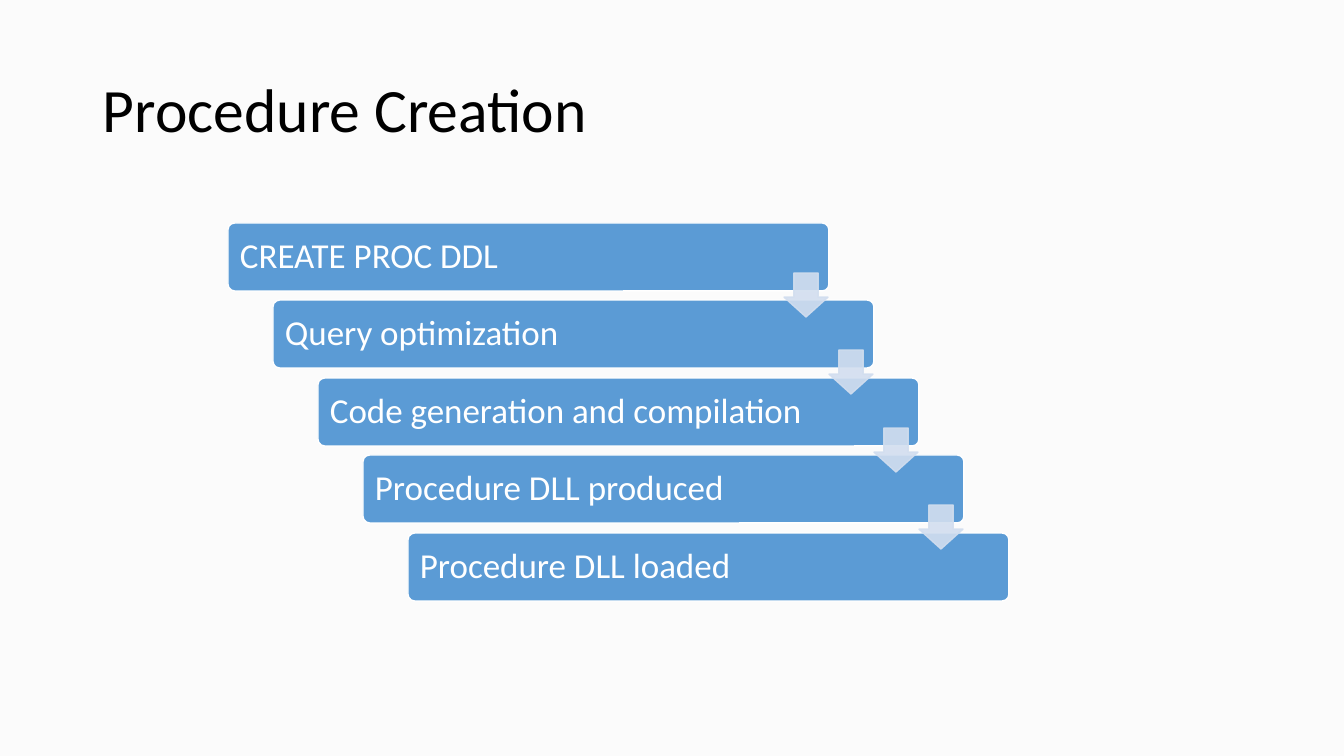
from dataclasses import dataclass

from lxml import etree
from pptx import Presentation
from pptx import util as u
from pptx.dml.color import RGBColor
from pptx.enum import shapes, text
from pptx.oxml import ns

SCALE = 914400 / 100.8


def px(n):
    return u.Emu(round(n * SCALE))


@dataclass
class Theme:
    back: str = "FBFBFB"
    ink: str = "000000"
    step: str = "5B9BD5"
    edge: str = "FFFFFF"
    arrow: str = "D2DEEF"
    font: str = "Calibri"
    head: int = 44
    body: int = 25
    alpha: int = 90


class Deck:
    """Holds the theme and the current slide, and draws its elements."""

    def __init__(self, theme):
        self.theme = theme
        self.show = Presentation()
        self.show.slide_width, self.show.slide_height = px(1344), px(756)
        self.slide = self.show.slides.add_slide(self.show.slide_layouts[6])
        self.paint(self.slide.background.fill, theme.back)

    def paint(self, fill, color):
        fill.solid()
        fill.fore_color.rgb = RGBColor.from_string(color)

    def label(self, shape, words, size, color):
        frame = shape.text_frame
        form = {
            "word_wrap": True,
            "vertical_anchor": text.MSO_ANCHOR.MIDDLE,
            "margin_left": px(10),
            "margin_right": px(10),
            "margin_top": px(5),
            "margin_bottom": px(5),
        }
        for key, value in form.items():
            setattr(frame, key, value)
        line = frame.paragraphs[0]
        line.alignment, line.line_spacing = text.PP_ALIGN.LEFT, 0.9
        run = line.add_run()
        run.text = words
        for key, value in {"name": self.theme.font, "size": u.Pt(size)}.items():
            setattr(run.font, key, value)
        run.font.color.rgb = RGBColor.from_string(color)

    def title(self, words, *box):
        shape = self.slide.shapes.add_textbox(*map(px, box))
        self.label(shape, words, self.theme.head, self.theme.ink)

    def block(self, kind, box, curve, fill, edge):
        shape = self.slide.shapes.add_shape(kind, *map(px, box))
        shape.shadow.inherit = False
        for i, value in enumerate(curve):
            shape.adjustments[i] = value
        self.paint(shape.fill, fill)
        shape.line.width = u.Pt(1)
        self.paint(shape.line.fill, edge)
        return shape

    def step(self, words, *box):
        look = self.theme
        kind = shapes.MSO_SHAPE.ROUNDED_RECTANGLE
        shape = self.block(kind, box, [0.1], look.step, look.edge)
        self.label(shape, words, look.body, look.edge)

    def arrow(self, *box):
        look = self.theme
        kind = shapes.MSO_SHAPE.DOWN_ARROW
        shape = self.block(kind, box, [0.55, 0.45], look.arrow, look.arrow)
        for node in shape.element.iter(ns.qn("a:srgbClr")):
            etree.SubElement(node, ns.qn("a:alpha"), val=str(look.alpha * 1000))


def main():
    deck = Deck(Theme())
    deck.title("Procedure Creation", 93, 40, 1159, 146)
    steps = [
        "CREATE PROC DDL",
        "Query optimization",
        "Code generation and compilation",
        "Procedure DLL produced",
        "Procedure DLL loaded",
    ]
    spots = [(228 + 45 * i, 223 + 310 * i // 4) for i in range(len(steps))]
    for words, (left, top) in zip(steps, spots):
        deck.step(words, left, top, 601, 68)
    for left, top in spots[:-1]:
        deck.arrow(left + 556, top + 50, 44, 44)
    deck.show.save("out.pptx")


if __name__ == "__main__":
    main()
